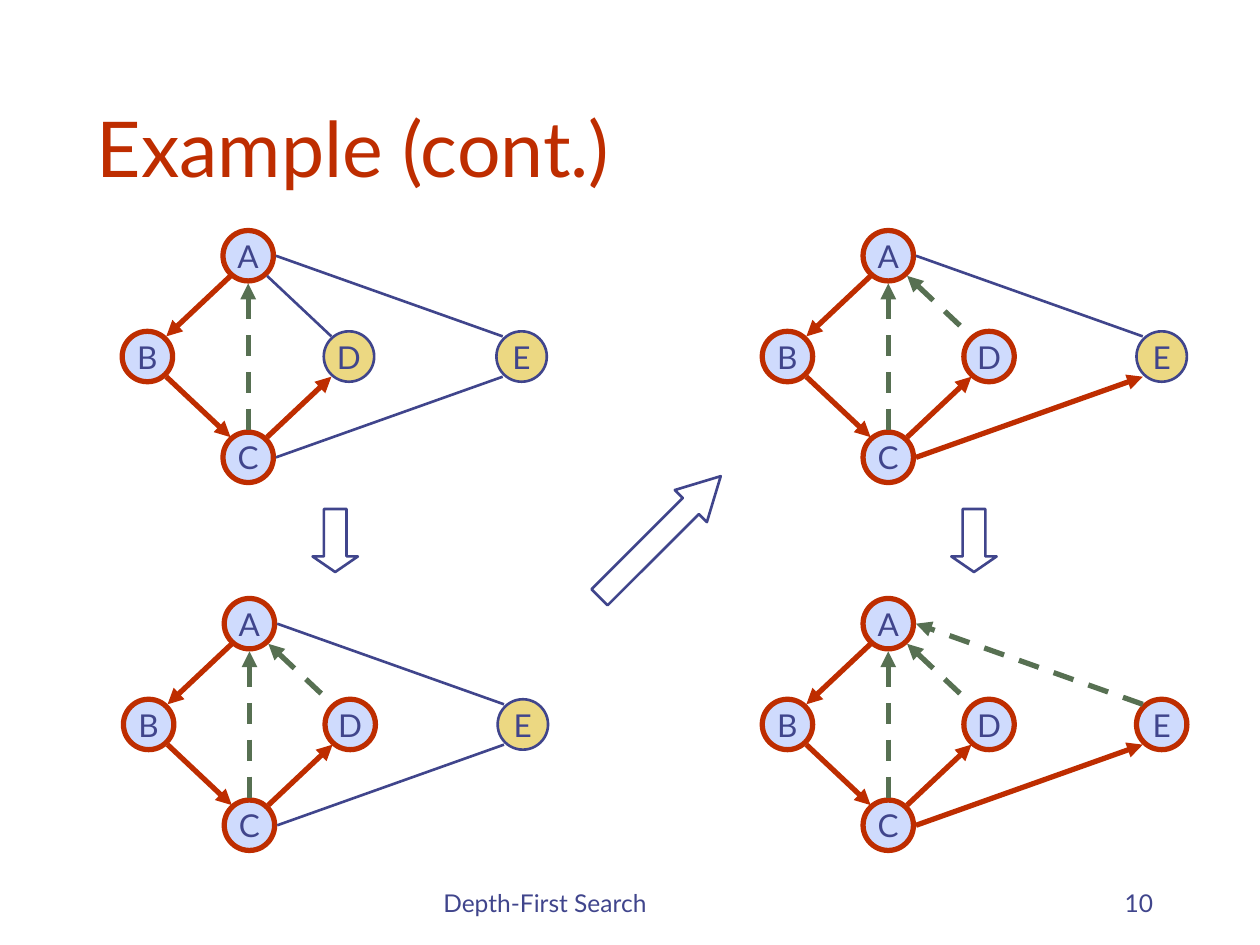
import pptx
import pptx.dml.color
import pptx.enum.dml
import pptx.enum.shapes
import pptx.enum.text
import pptx.oxml
import pptx.oxml.ns
import pptx.util
from pptx.util import Inches

COLORS = {"ink": "40458C", "red": "BE2D00", "green": "577052",
          "blue": "CFDBFD", "yellow": "ECD882"}
SHAPE = pptx.enum.shapes.MSO_SHAPE
ALIGN = pptx.enum.text.PP_ALIGN
ANCHOR = pptx.enum.text.MSO_ANCHOR


def rgb(name):
    return pptx.dml.color.RGBColor.from_string(COLORS[name])


def set_text(sp, text, size, color, align, anchor, wrap=True):
    tf = sp.text_frame
    tf.word_wrap = wrap
    tf.vertical_anchor = anchor
    p = tf.paragraphs[0]
    p.text = text
    p.alignment = align
    p.font.name = "Lato"
    p.font.size = pptx.util.Pt(size)
    p.font.color.rgb = rgb(color)


prs = pptx.Presentation()
prs.slide_width, prs.slide_height = Inches(10), Inches(7.5)
s = prs.slides.add_slide(prs.slide_layouts[6])

# Title, footer and slide number
for text, box, size, color, align in [
    ("Example (cont.)", (0.67, 0.33, 8.5, 1.25), 44, "red", ALIGN.LEFT),
    ("Depth-First Search", (3.42, 6.83, 3.17, 0.5), 14, "ink", ALIGN.LEFT),
    ("10", (7.17, 6.83, 2.08, 0.5), 14, "ink", ALIGN.RIGHT),
]:
    sp = s.shapes.add_textbox(*[Inches(v) for v in box])
    set_text(sp, text, size, color, align, ANCHOR.BOTTOM)

# Graph layout, relative to the left of B and the top of A
NODE = 0.4
nodes = {"A": (0.8, 0), "B": (0, 0.8), "C": (0.8, 1.6), "D": (1.6, 0.8), "E": (2.97, 0.8)}
edges = {
    "AB": (0.86, 0.36, 0.35, 0.84),
    "BC": (0.35, 1.16, 0.86, 1.64),
    "CD": (1.15, 1.64, 1.66, 1.16),
    "AD": (1.15, 0.36, 1.66, 0.84),
    "AC": (1, 0.42, 1, 1.58),
    "CE": (1.22, 1.8, 3.02, 1.16),
    "EA": (3.02, 0.84, 1.22, 0.2),
}
# Edge styles: colour, width, dashed
styles = {"open": ("ink", 1.5, False), "tree": ("red", 3, False), "back": ("green", 3, True)}
# Back edges drawn from A carry the arrowhead at their start
head_at_start = {"AD", "AC"}

# Each search step: origin, unvisited nodes, edges still unexplored, back edges
steps = [
    (0.97, 1.83, "DE", {"AD", "CE", "EA"}, {"AC"}),
    (0.98, 4.75, "E", {"CE", "EA"}, {"AC", "AD"}),
    (6.05, 1.83, "E", {"EA"}, {"AC", "AD"}),
    (6.05, 4.75, "", set(), {"AC", "AD", "EA"}),
]

for left, top, unvisited, unexplored, back in steps:
    # Nodes
    for name, (x, y) in nodes.items():
        sp = s.shapes.add_shape(SHAPE.OVAL, Inches(left + x), Inches(top + y),
                                Inches(NODE), Inches(NODE))
        sp.shadow.inherit = False
        fresh = name in unvisited
        sp.fill.solid()
        sp.fill.fore_color.rgb = rgb("yellow" if fresh else "blue")
        sp.line.color.rgb = rgb("ink" if fresh else "red")
        sp.line.width = pptx.util.Pt(1.5 if fresh else 3)
        set_text(sp, name, 18, "ink", ALIGN.CENTER, ANCHOR.MIDDLE, wrap=False)

    # Edges
    for name, (x1, y1, x2, y2) in edges.items():
        kind = "open" if name in unexplored else "back" if name in back else "tree"
        color, width, dashed = styles[kind]
        line = s.shapes.add_connector(
            pptx.enum.shapes.MSO_CONNECTOR.STRAIGHT,
            Inches(left + x1), Inches(top + y1), Inches(left + x2), Inches(top + y2))
        line.line.color.rgb = rgb(color)
        line.line.width = pptx.util.Pt(width)
        if dashed:
            line.line.dash_style = pptx.enum.dml.MSO_LINE.DASH
        if kind != "open":
            tag = "a:headEnd" if name in head_at_start else "a:tailEnd"
            end = pptx.oxml.parse_xml(f'<{tag} {pptx.oxml.ns.nsdecls("a")} type="triangle"/>')
            line.line._get_or_add_ln().append(end)
        line._element.spPr.append(
            pptx.oxml.parse_xml(f'<a:effectLst {pptx.oxml.ns.nsdecls("a")}/>'))

# Block arrows between the steps
for x, y, length, rotation, head in [
    (2.41, 4.11, 0.5, 90, 0.343),
    (4.56, 4.08, 1.36, -45, 0.932),
    (7.48, 4.11, 0.5, 90, 0.343),
]:
    sp = s.shapes.add_shape(SHAPE.RIGHT_ARROW, Inches(x), Inches(y),
                            Inches(length), Inches(0.36))
    sp.shadow.inherit = False
    sp.rotation = rotation
    sp.adjustments[0], sp.adjustments[1] = 0.5, head
    sp.fill.background()
    sp.line.color.rgb = rgb("ink")
    sp.line.width = pptx.util.Pt(1.5)

prs.save("out.pptx")
